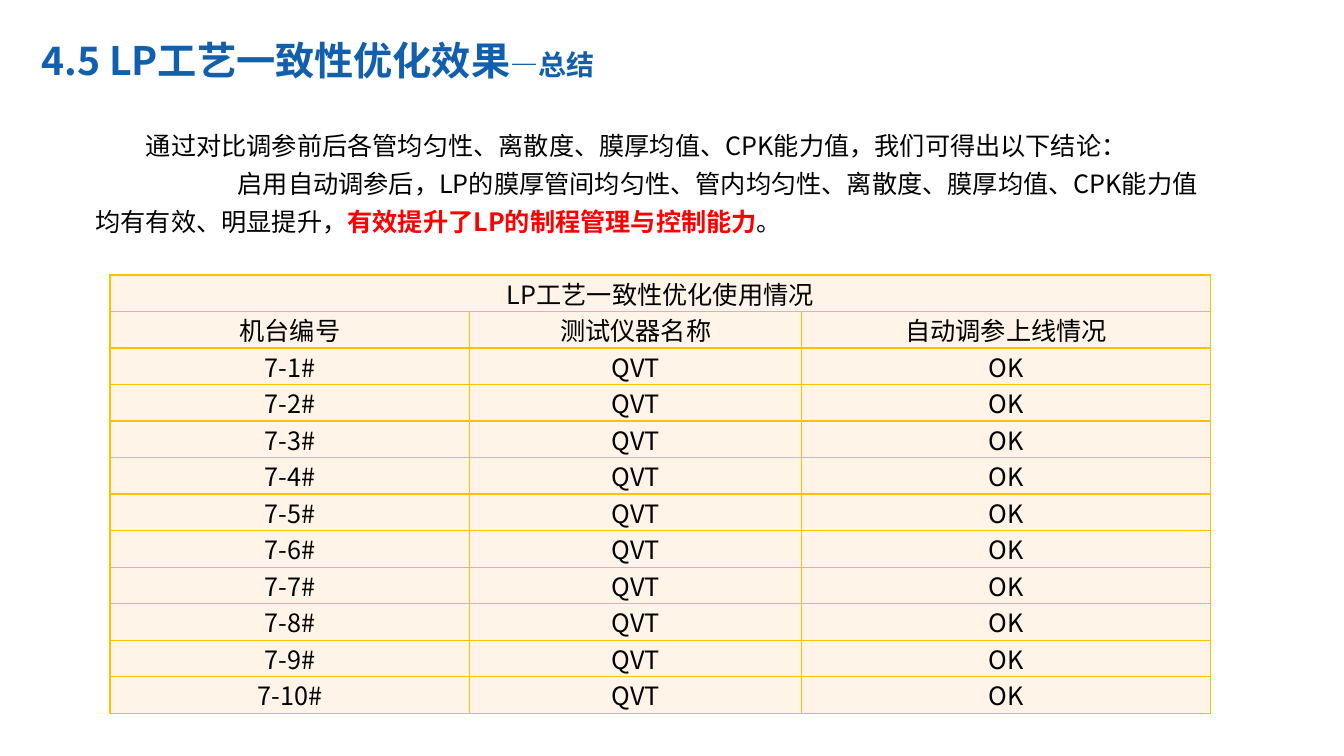
from lxml import etree
from pptx import Presentation
from pptx.dml.color import RGBColor
from pptx.enum.text import MSO_ANCHOR, MSO_AUTO_SIZE, PP_ALIGN
from pptx.oxml.ns import qn
from pptx.util import Cm, Pt

FONT = "Noto Sans CJK SC"
BLUE, BLACK, RED = "115FAD", "000000", "FF0000"
CREAM, GOLD = "FFF4E7", "FFC000"
LEFT, CENTER = PP_ALIGN.LEFT, PP_ALIGN.CENTER
TOP, MIDDLE = MSO_ANCHOR.TOP, MSO_ANCHOR.MIDDLE
NO_FIT = MSO_AUTO_SIZE.NONE

TITLE_ONLY = 5
COLUMN_WIDTHS = [9.07, 8.36, 10.31]
ROW_HEIGHT = 0.92
HEADERS = ["机台编号", "测试仪器名称", "自动调参上线情况"]
MACHINES = [[f"7-{n}#", "QVT", "OK"] for n in range(1, 11)]


def rgb(color):
    return RGBColor.from_string(color)


def add_run(p, text, size=18, color=BLACK, bold=False):
    r = p.add_run()
    r.text = text
    r.font.name = FONT
    r.font.size = Pt(size)
    r.font.bold = bold
    r.font.color.rgb = rgb(color)
    etree.SubElement(r.font._element, qn("a:ea"), typeface=FONT)


def set_title(slide):
    s = slide.shapes.title
    s.left, s.top, s.width, s.height = Cm(0.79), Cm(0.79), Cm(20.02), Cm(1.45)
    tf = s.text_frame
    tf.word_wrap = True
    tf.auto_size = NO_FIT
    tf.vertical_anchor = TOP
    p = tf.paragraphs[0]
    p.alignment = LEFT
    add_run(p, "4.5 LP工艺一致性优化效果", 28, BLUE, True)
    add_run(p, "—总结", 20, BLUE, True)


def format_paragraph(p, indent):
    p.line_spacing = 1.25
    p._p.get_or_add_pPr().set("indent", str(Cm(indent)))


def add_conclusion(slide):
    s = slide.shapes.add_textbox(Cm(2.16), Cm(2.97), Cm(28.65), Cm(3.71))
    tf = s.text_frame
    tf.word_wrap = True
    p = tf.paragraphs[0]
    format_paragraph(p, 1.27)
    add_run(p, "通过对比调参前后各管均匀性、离散度、膜厚均值、CPK能力值，我们可得出以下结论：")
    p = tf.add_paragraph()
    format_paragraph(p, 3.58)
    add_run(p, "启用自动调参后，LP的膜厚管间均匀性、管内均匀性、离散度、膜厚均值、"
               "CPK能力值均有有效、明显提升，")
    add_run(p, "有效提升了LP的制程管理与控制能力", color=RED, bold=True)
    add_run(p, "。")


def set_borders(cell):
    tc_pr = cell._tc.get_or_add_tcPr()
    for i, side in enumerate(("lnL", "lnR", "lnT", "lnB")):
        ln = etree.Element(qn(f"a:{side}"), w=str(Pt(1)))
        fill = etree.SubElement(ln, qn("a:solidFill"))
        etree.SubElement(fill, qn("a:srgbClr"), val=GOLD)
        tc_pr.insert(i, ln)


def format_cell(cell, text):
    cell.fill.solid()
    cell.fill.fore_color.rgb = rgb(CREAM)
    set_borders(cell)
    cell.vertical_anchor = MIDDLE
    cell.margin_left = cell.margin_right = Cm(0.03)
    cell.margin_top = cell.margin_bottom = 0
    p = cell.text_frame.paragraphs[0]
    p.alignment = CENTER
    if text:
        add_run(p, text)


def add_usage_table(slide):
    rows = [["LP工艺一致性优化使用情况", "", ""], HEADERS] + MACHINES
    frame = slide.shapes.add_table(
        len(rows), len(HEADERS), Cm(2.77), Cm(6.93),
        Cm(sum(COLUMN_WIDTHS)), Cm(ROW_HEIGHT * len(rows)))
    table = frame.table
    for column, width in zip(table.columns, COLUMN_WIDTHS):
        column.width = Cm(width)
    for row, texts in zip(table.rows, rows):
        row.height = Cm(ROW_HEIGHT)
        for cell, text in zip(row.cells, texts):
            format_cell(cell, text)
    table.cell(0, 0).merge(table.cell(0, len(HEADERS) - 1))


def main():
    prs = Presentation()
    prs.slide_width, prs.slide_height = Cm(33.87), Cm(19.05)
    slide = prs.slides.add_slide(prs.slide_layouts[TITLE_ONLY])

    # Heading and conclusion
    set_title(slide)
    add_conclusion(slide)

    # Usage by machine
    add_usage_table(slide)

    prs.save("out.pptx")


if __name__ == "__main__":
    main()
